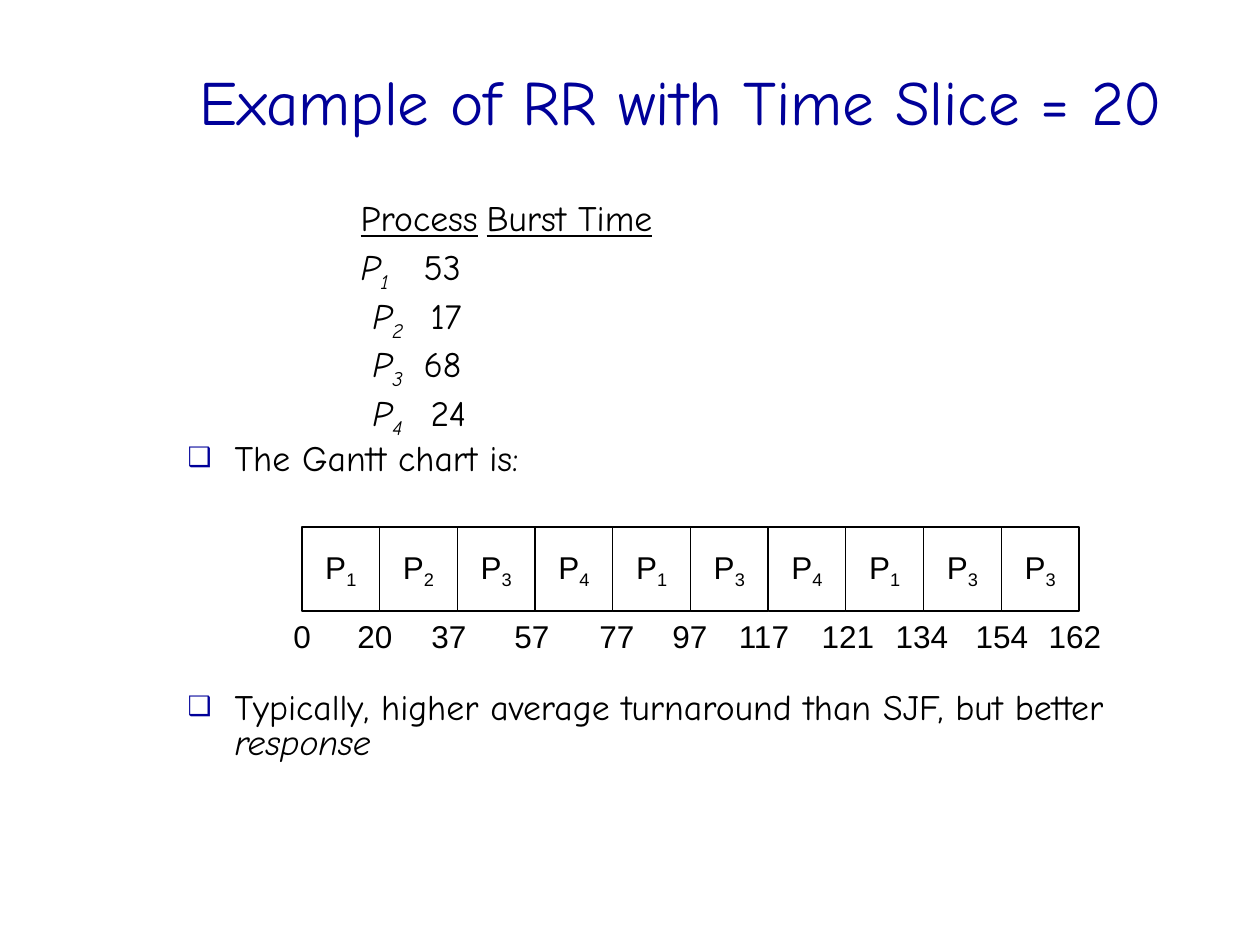
from lxml import etree
from pptx import Presentation
from pptx.dml.color import RGBColor as Rgb
from pptx.enum.shapes import MSO_SHAPE as Shape
from pptx.enum.text import MSO_ANCHOR as Anchor, MSO_AUTO_SIZE as Fit, PP_ALIGN as Align
from pptx.oxml.ns import qn
from pptx.util import Pt

BLUE = Rgb(0x00, 0x00, 0x99)
BLACK = Rgb(0x00, 0x00, 0x00)
WHITE = Rgb(0xFF, 0xFF, 0xFF)
COMIC, ARIAL = "Comic Neue", "Arial"
SCALE = 914400 / 126


def px(n):
    return round(n * SCALE)


def write(para, text, size=20.4, font=COMIC, color=BLACK, italic=False,
          under=False, sub=False):
    """Add one run of text to a paragraph."""
    run = para.add_run()
    run.text = text
    face = run.font
    face.size, face.name, face.italic, face.underline = Pt(size), font, italic, under
    face.color.rgb = color
    if sub:
        face._element.set("baseline", "-25000")


class Deck:
    def __init__(self):
        self.show = Presentation()
        self.show.slide_width, self.show.slide_height = px(1260), px(945)
        self.slide = self.show.slides.add_slide(self.show.slide_layouts[1])

    def place(self, item, x, y, w, h, anchor):
        item.left, item.top, item.width, item.height = map(px, (x, y, w, h))
        frame = item.text_frame
        frame.auto_size, frame.vertical_anchor = Fit.NONE, anchor
        return frame

    def title(self, text, *spot):
        frame = self.place(self.slide.shapes.title, *spot, Anchor.MIDDLE)
        frame.paragraphs[0].alignment = Align.CENTER
        write(frame.paragraphs[0], text, size=36, color=BLUE)

    def body(self, *spot):
        self.frame = self.place(self.slide.placeholders[1], *spot, Anchor.TOP)
        self.fresh = True

    def line(self, left, hang=0, before=5.5, mark=None, tabs=()):
        """Start a body paragraph with its indent, bullet and tab stops."""
        para = self.frame.paragraphs[0] if self.fresh else self.frame.add_paragraph()
        self.fresh = False
        para.line_spacing, para.space_before = 0.8, Pt(before)
        props = para._p.get_or_add_pPr()
        props.set("marL", str(px(left)))
        props.set("indent", str(-px(hang)))

        def add(tag, root=props, **attrs):
            return etree.SubElement(root, qn(tag), attrs)

        if mark:
            add("a:srgbClr", add("a:buClr"), val=str(BLUE))
            add("a:buSzPct", val="75000")
            add("a:buChar", char=mark)
        else:
            add("a:buNone")
        if tabs:
            stops = add("a:tabLst")
            for stop in tabs:
                add("a:tab", stops, pos=str(px(stop)), algn="l")
        return para

    def cell(self, num, x, y, w, h):
        box = self.slide.shapes.add_shape(Shape.RECTANGLE, 0, 0, 0, 0)
        box.shadow.inherit = False
        box.fill.solid()
        box.fill.fore_color.rgb = WHITE
        box.line.color.rgb, box.line.width = BLACK, Pt(0.75)
        frame = self.place(box, x, y, w, h, Anchor.MIDDLE)
        frame.word_wrap = False
        para = frame.paragraphs[0]
        para.alignment = Align.CENTER
        write(para, "P", size=18, font=ARIAL)
        write(para, str(num), size=18, font=ARIAL, sub=True)

    def label(self, text, mid, y):
        box = self.slide.shapes.add_textbox(0, 0, 0, 0)
        wide = 26 + 17 * len(text)
        frame = self.place(box, mid - wide / 2, y, wide, 50, Anchor.MIDDLE)
        frame.word_wrap = False
        frame.paragraphs[0].alignment = Align.CENTER
        write(frame.paragraphs[0], text, size=18, font=ARIAL)


def main():
    deck = Deck()
    deck.title("Example of RR with Time Slice = 20", 126, 42, 1110, 116)
    deck.body(175, 193, 966, 617)

    # Burst times: the stops serve both ways of measuring from the indent
    rows = dict(left=173, tabs=(126, 299))
    head = deck.line(**rows)
    write(head, "Process", under=True)
    write(head, "\t", size=24.1)
    write(head, "Burst Time", under=True)
    for num, lead, gap, time in ((1, "", "", 53), (2, " ", " ", 17),
                                 (3, " ", "", 68), (4, " ", " ", 24)):
        row = deck.line(**rows)
        write(row, lead + "P", italic=True)
        write(row, f"{num}\t{gap}", italic=True, sub=True)
        write(row, str(time))

    # Bullets, with room for the chart between them
    item = dict(left=47, hang=47, mark="❑")
    write(deck.line(**item), "The Gantt chart is:")
    last = deck.line(before=123, **item)
    write(last, "Typically, higher average turnaround than SJF, but better ")
    write(last, "response", italic=True)

    # Gantt chart
    for col, num in enumerate((1, 2, 3, 4, 1, 3, 4, 1, 3, 3)):
        deck.cell(num, 302 + 777 * col / 10, 527, 777 / 10, 84)
    times = (0, 20, 37, 57, 77, 97, 117, 121, 134, 154, 162)
    mids = (302, 375, 449, 532, 617, 690, 764, 848, 922, 1002, 1075)
    for time, mid in zip(times, mids):
        deck.label(str(time), mid, 611)

    deck.show.save("out.pptx")


if __name__ == "__main__":
    main()
